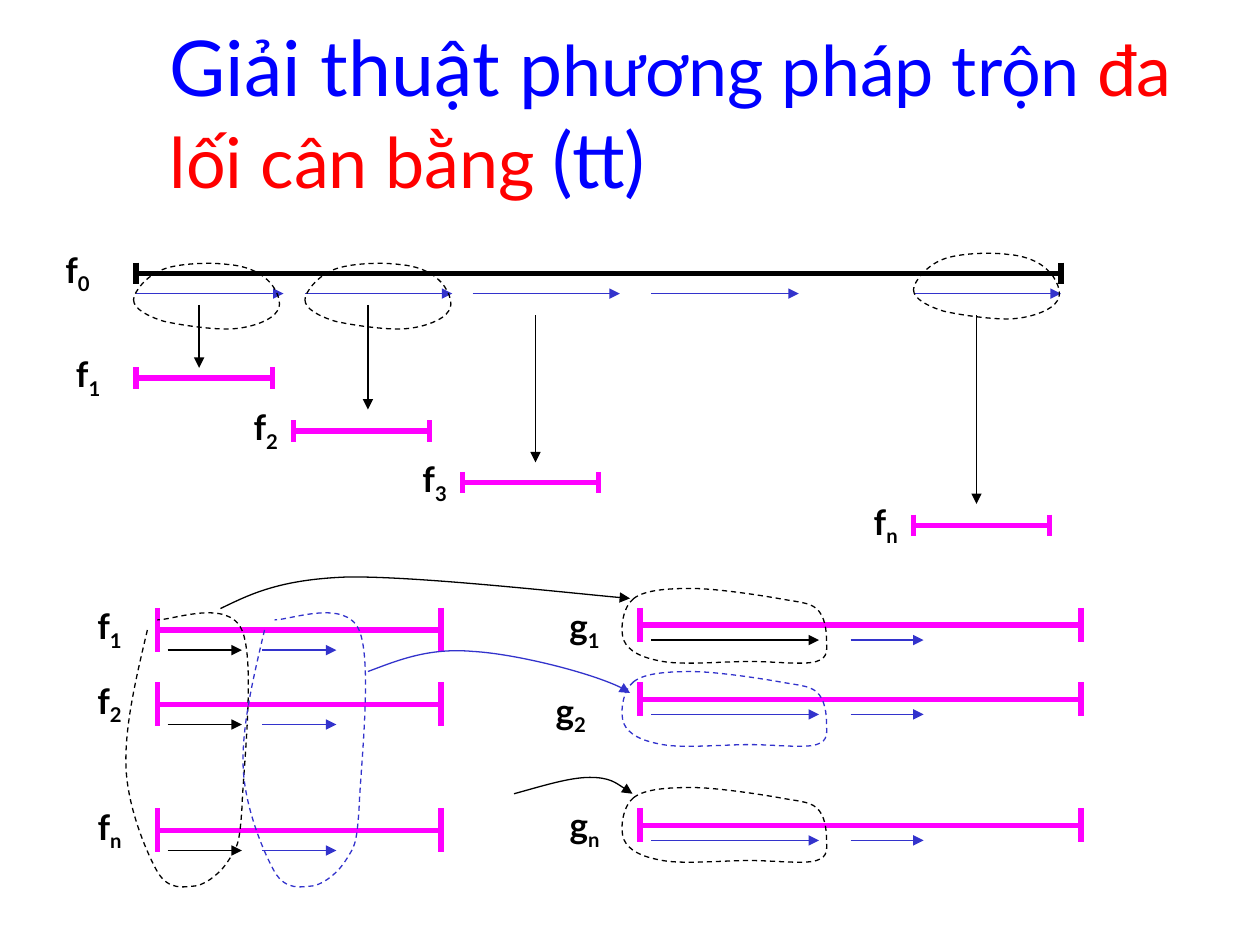
import lxml.etree
import pptx
import pptx.dml.color
import pptx.enum.dml
import pptx.enum.shapes
import pptx.enum.text
import pptx.oxml.ns
import pptx.util
from pptx.oxml.ns import qn
from pptx.util import Inches

COLORS = {"black": "000000", "blue": "0000FF", "red": "FF0000", "magenta": "FF00FF", "indigo": "3333CC"}
FONT = "Lato"
THICK, THIN = 3, 0.75

RUN_LOOP = [
    (0, 0.3), (0, 0.37), (0.11, 0.43), (0.24, 0.47), (0.37, 0.5), (0.64, 0.54), (0.79, 0.53),
    (0.94, 0.52), (1.1, 0.46), (1.14, 0.39), (1.19, 0.33), (1.13, 0.2), (1.06, 0.14),
    (1, 0.08), (0.89, 0.03), (0.75, 0.02), (0.61, 0), (0.35, 0.01), (0.23, 0.06),
    (0.1, 0.11), (0, 0.24), (0, 0.3),
]
COLUMN_LOOP = [
    (0.18, 0.25), (0.09, 0.63), (0, 1.01), (0.01, 1.33), (0.02, 1.65), (0.17, 2.01), (0.26, 2.17),
    (0.35, 2.32), (0.47, 2.29), (0.57, 2.28), (0.66, 2.26), (0.77, 2.17), (0.83, 2.07),
    (0.89, 1.97), (0.91, 1.97), (0.93, 1.67), (0.94, 1.36), (1.04, 0.5), (0.93, 0.25),
    (0.82, 0), (0.39, 0.17), (0.26, 0.17),
]
MERGE_LOOP = [
    (0.11, 0.08), (0.02, 0.15), (0, 0.33), (0.03, 0.41), (0.07, 0.5), (0.17, 0.55), (0.34, 0.58),
    (0.51, 0.61), (0.82, 0.58), (1.03, 0.58), (1.23, 0.58), (1.46, 0.61), (1.56, 0.58),
    (1.66, 0.55), (1.64, 0.48), (1.64, 0.41), (1.64, 0.34), (1.63, 0.22), (1.56, 0.16),
    (1.5, 0.11), (1.42, 0.11), (1.26, 0.08), (1.09, 0.05), (0.75, 0), (0.57, 0),
    (0.39, 0), (0.2, 0.01), (0.11, 0.08),
]


def rgb(color):
    return pptx.dml.color.RGBColor.from_string(COLORS[color])


def format_line(shape, color, width, dashed=False, arrow=False):
    shape.line.color.rgb = rgb(color)
    shape.line.width = pptx.util.Pt(width)
    if dashed:
        shape.line.dash_style = pptx.enum.dml.MSO_LINE.DASH
    if arrow:
        lxml.etree.SubElement(shape.element.spPr.find(qn("a:ln")), qn("a:tailEnd"), type="triangle")


def add_line(g, x1, y1, x2, y2, color, width=THIN, arrow=False):
    c = g.shapes.add_connector(
        pptx.enum.shapes.MSO_CONNECTOR.STRAIGHT, Inches(x1), Inches(y1), Inches(x2), Inches(y2))
    format_line(c, color, width, arrow=arrow)
    lxml.etree.SubElement(c.element.spPr, qn("a:effectLst"))


def bend_segments(sp):
    lines = list(sp.element.iter(qn("a:lnTo")))
    for i in range(0, len(lines), 3):
        curve = lxml.etree.Element(qn("a:cubicBezTo"))
        lines[i].addprevious(curve)
        for line in lines[i:i + 3]:
            curve.append(line[0])
            line.getparent().remove(line)


def add_curve(g, x, y, points, color, dashed=False, arrow=False):
    places = [(Inches(x + px), Inches(y + py)) for px, py in points]
    builder = g.shapes.build_freeform(*places[0])
    builder.add_line_segments(places[1:], close=points[0] == points[-1])
    sp = builder.convert_to_shape()
    bend_segments(sp)
    sp.fill.background()
    sp.shadow.inherit = False
    format_line(sp, color, THIN, dashed, arrow)


def add_interval(g, x, y, width, cap, color="magenta"):
    add_line(g, x, y, x + width, y, color, THICK)
    for end in (x, x + width):
        add_line(g, end, y - cap / 2, end, y + cap / 2, color, THICK)


def add_run(p, text, size=20, color="black", bold=False, subscript=False):
    r = p.add_run()
    r.text = text
    r.font.name = FONT
    r.font.size = pptx.util.Pt(size)
    r.font.bold = bold
    r.font.color.rgb = rgb(color)
    if subscript:
        r.font._element.set("baseline", "-25000")


def add_text_box(parent, x, y, width, height, inset=0.1):
    tf = parent.shapes.add_textbox(Inches(x), Inches(y), Inches(width), Inches(height)).text_frame
    tf.word_wrap = True
    tf.margin_left = tf.margin_right = Inches(inset)
    return tf


def add_label(g, x, y, letter, index, width=0.4, inset=0, align=pptx.enum.text.PP_ALIGN.CENTER):
    tf = add_text_box(g, x, y, width, 0.48, inset)
    p = tf.paragraphs[0]
    p.alignment = align
    add_run(p, letter, bold=True)
    add_run(p, index, bold=True, subscript=True)


def add_title(s, left, top, width, height):
    tf = add_text_box(s, left, top, width, height)
    tf.vertical_anchor = pptx.enum.text.MSO_ANCHOR.BOTTOM
    p = tf.paragraphs[0]
    add_run(p, "Giải thuật p", size=44, color="blue")
    add_run(p, "hương pháp trộn ", size=40, color="blue")
    add_run(p, "đa lối cân bằng ", size=40, color="red")
    add_run(p, "(tt)", size=44, color="blue")


def add_distribution(g, left, top, width):
    add_interval(g, left, top + 0.09, width, 0.17, "black")
    add_label(g, left - 0.66, top - 0.16, "f", "0", 0.5, 0.1, pptx.enum.text.PP_ALIGN.LEFT)
    for x in (0, 1.34, 2.67, 4.09, 6.17):
        add_line(g, left + x, top + 0.25, left + x + 1.17, top + 0.25, "indigo", arrow=True)
    for index, x, y, label_gap, arrow_x, start, end in (
        ("1", 0, 0.92, 0.58, 0.5, 0.34, 0.84),
        ("2", 1.25, 1.34, 0.42, 1.84, 0.34, 1.17),
        ("3", 2.59, 1.75, 0.42, 3.17, 0.42, 1.59),
        ("n", 6.17, 2.09, 0.42, 6.67, 0.42, 1.92),
    ):
        add_interval(g, left + x, top + y, 1.08, 0.17)
        add_label(g, left + x - label_gap, top + y - 0.25, "f", index)
        add_line(g, left + arrow_x, top + start, left + arrow_x, top + end, "black", arrow=True)
    for x, y in ((-0.02, 0), (1.34, 0), (6.17, -0.08)):
        add_curve(g, left + x, top + y, RUN_LOOP, "black", dashed=True)


def add_input_files(g, left, top, width):
    for index, y in (("1", 0), ("2", 0.59), ("n", 1.59)):
        add_interval(g, left, top + y + 0.17, width, 0.35)
        add_label(g, left - 0.58, top + y - 0.08, "f", index)
        for x, color in ((0.08, "black"), (0.83, "indigo")):
            add_line(g, left + x, top + y + 0.33, left + x + 0.59, top + y + 0.33, color, arrow=True)
    for x, color in ((-0.26, "black"), (0.67, "indigo")):
        add_curve(g, left + x, top - 0.08, COLUMN_LOOP, color, dashed=True)


def add_output_files(g, left, top, width):
    for index, y, label_x, label_y, label_width, loop_y, color, loop_color in (
        ("1", 0, -0.64, -0.08, 0.4, -0.16, "black", "black"),
        ("2", 0.59, -0.83, 0.59, 0.56, 0.5, "indigo", "indigo"),
        ("n", 1.59, -0.64, 1.5, 0.4, 1.42, "indigo", "black"),
    ):
        add_interval(g, left, top + y + 0.13, width, 0.27)
        add_label(g, left + label_x, top + label_y, "g", index, label_width)
        arrow_y = top + y + 0.25
        add_line(g, left + 0.09, arrow_y, left + 1.42, arrow_y, color, arrow=True)
        add_line(g, left + 1.67, arrow_y, left + 2.25, arrow_y, "indigo", arrow=True)
        add_curve(g, left - 0.16, top + loop_y, MERGE_LOOP, loop_color, dashed=True)


def add_transfers(g, left, top):
    for x, y, color, points in (
        (0, 0.26, "black",
         [(0, 0), (0.23, -0.11), (0.46, -0.23), (1, -0.25), (1.54, -0.26), (2.89, -0.11), (3.25, -0.08)]),
        (1.17, 0.76, "indigo",
         [(0, 0), (0.24, -0.09), (0.48, -0.19), (0.83, -0.16), (1.18, -0.14), (1.93, 0.05), (2.08, 0.17)]),
        (2.33, 1.73, "black",
         [(0, 0), (0.22, -0.06), (0.44, -0.13), (0.6, -0.13), (0.76, -0.13), (0.85, -0.06), (0.94, 0)]),
    ):
        add_curve(g, left + x, top + y, points, color, arrow=True)


def main():
    prs = pptx.Presentation()
    prs.slide_width, prs.slide_height = Inches(10), Inches(7.5)
    s = prs.slides.add_slide(prs.slide_layouts[6])
    add_title(s, 1.25, 0.42, 8.42, 1.25)
    add_distribution(s.shapes.add_group_shape(), 1.08, 2.08, 7.34)
    merge = s.shapes.add_group_shape()
    add_input_files(merge, 1.25, 4.83, 2.25)
    add_output_files(merge, 5.08, 4.83, 3.5)
    add_transfers(merge, 1.75, 4.57)
    prs.save("out.pptx")


if __name__ == "__main__":
    main()
